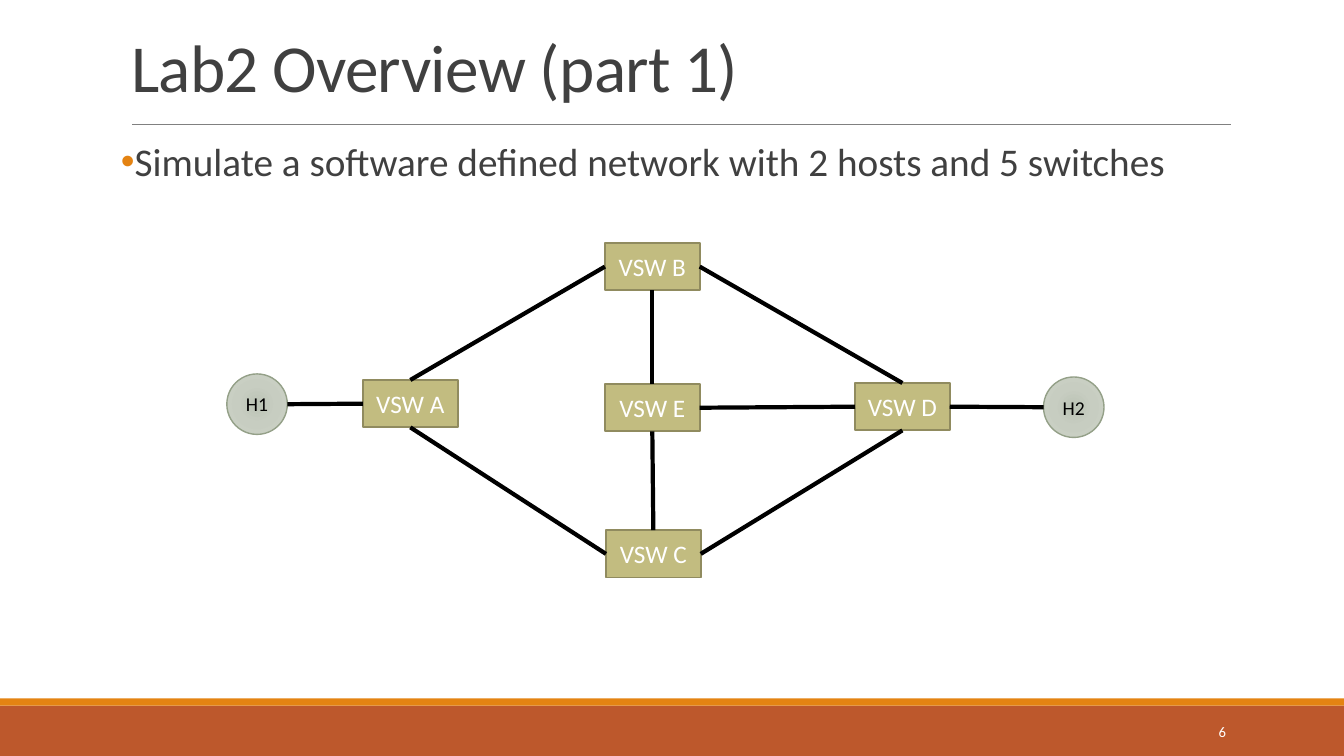
import pptx
import pptx.util
import pptx.dml.color
import pptx.enum.shapes
import pptx.enum.text
import pptx.oxml
import pptx.oxml.ns

Inches, Pt = pptx.util.Inches, pptx.util.Pt
MSO_SHAPE = pptx.enum.shapes.MSO_SHAPE
PP_ALIGN = pptx.enum.text.PP_ALIGN
ANCHOR = pptx.enum.text.MSO_ANCHOR
NS = pptx.oxml.ns.nsdecls("a")
TOP, LEFT, BOTTOM, RIGHT = range(4)


def rgb(hex_color):
    return pptx.dml.color.RGBColor.from_string(hex_color)


def add_text(shape, text, size, color, align, anchor):
    tf = shape.text_frame
    tf.auto_size = pptx.enum.text.MSO_AUTO_SIZE.NONE
    tf.word_wrap = True
    tf.vertical_anchor = anchor
    p = tf.paragraphs[0]
    p.alignment = align
    r = p.add_run()
    r.text = text
    r.font.name = "Calibri"
    r.font.size = Pt(size)
    r.font.color.rgb = rgb(color)
    return p


prs = pptx.Presentation()
prs.slide_width, prs.slide_height = Inches(13.33), Inches(7.5)
s = prs.slides.add_slide(prs.slide_layouts[1])

# Footer bands
for top, height, color in [(7, 0.5, "BD582C"), (6.93, 0.07, "E48312")]:
    sp = s.shapes.add_shape(MSO_SHAPE.RECTANGLE, 0, Inches(top), prs.slide_width, Inches(height))
    sp.shadow.inherit = False
    sp.fill.solid()
    sp.fill.fore_color.rgb = rgb(color)
    sp.line.fill.background()

# Title
title = s.shapes.title
title.left, title.top, title.width, title.height = map(Inches, (1.2, 0.31, 11, 0.79))
p = add_text(title, "Lab2 Overview (part 1)", 48, "404040", PP_ALIGN.LEFT, ANCHOR.BOTTOM)
p.line_spacing = 0.85
p.runs[0].font._element.set("spc", "-50")

# Bulleted body
body = s.placeholders[1]
body.left, body.top, body.width, body.height = map(Inches, (1.2, 1.36, 11, 5.06))
body.text_frame.margin_left = body.text_frame.margin_right = 0
p = add_text(body, "Simulate a software defined network with 2 hosts and 5 switches",
             28, "404040", PP_ALIGN.LEFT, ANCHOR.TOP)
p.line_spacing, p.space_before, p.space_after = 0.9, Pt(12), Pt(2)
pPr = p._p.get_or_add_pPr()
pPr.set("marL", str(Inches(0.1)))
pPr.set("indent", str(-Inches(0.1)))
for xml in (f'<a:buClr {NS}><a:srgbClr val="E48312"/></a:buClr>',
            f'<a:buChar {NS} char="•"/>'):
    pPr.append(pptx.oxml.parse_xml(xml))

# Slide number
box = s.shapes.add_textbox(Inches(10.83), Inches(7.06), Inches(1.43), Inches(0.4))
add_text(box, "6", 10.5, "FFFFFF", PP_ALIGN.RIGHT, ANCHOR.MIDDLE)

# Switches
nodes = {}
for name, left, top in [("A", 3.6, 3.77), ("B", 6, 2.41), ("C", 6.01, 5.26),
                        ("D", 8.48, 3.8), ("E", 6, 3.81)]:
    sp = s.shapes.add_shape(MSO_SHAPE.RECTANGLE, Inches(left), Inches(top), Inches(0.94), Inches(0.47))
    sp.shadow.inherit = False
    sp.fill.solid()
    sp.fill.fore_color.rgb = rgb("C2BC80")
    sp.line.color.rgb = rgb("908B5F")
    sp.line.width = Pt(1.25)
    add_text(sp, f"VSW {name}", 18, "FFFFFF", PP_ALIGN.CENTER, ANCHOR.MIDDLE)
    sp.text_frame.word_wrap = False
    nodes[name] = sp

# Hosts with a radial gradient
stops = "".join(f'<a:gs pos="{pos}000"><a:srgbClr val="{color}"/></a:gs>'
                for pos, color in [(0, "BBC3B5"), (45, "C7CDC1"), (100, "CDD4C7")])
gradient = (f'<a:gradFill {NS}><a:gsLst>{stops}</a:gsLst><a:path path="circle">'
            '<a:fillToRect l="100000" t="100000" r="100000" b="100000"/></a:path></a:gradFill>')
for name, left, top in [("H1", 2.25, 3.71), ("H2", 10.35, 3.74)]:
    sp = s.shapes.add_shape(MSO_SHAPE.OVAL, Inches(left), Inches(top), Inches(0.6), Inches(0.6))
    sp.shadow.inherit = False
    sp._element.spPr.find(pptx.oxml.ns.qn("a:prstGeom")).addnext(pptx.oxml.parse_xml(gradient))
    sp.line.color.rgb = rgb("94A088")
    sp.line.width = Pt(1)
    add_text(sp, name, 14, "000000", PP_ALIGN.CENTER, ANCHOR.MIDDLE)
    sp.text_frame.word_wrap = False
    nodes[name] = sp

# Links: from a switch side to another switch side or a host edge
links = [("A", LEFT, "H1", RIGHT), ("A", TOP, "B", LEFT), ("A", BOTTOM, "C", LEFT),
         ("D", RIGHT, "H2", LEFT), ("D", TOP, "B", RIGHT), ("D", BOTTOM, "C", RIGHT),
         ("E", TOP, "B", BOTTOM), ("E", BOTTOM, "C", TOP), ("E", RIGHT, "D", LEFT)]
for start, start_side, end, end_side in links:
    target = nodes[end]
    edge_x = target.left + (target.width if end_side == RIGHT else 0)
    c = s.shapes.add_connector(pptx.enum.shapes.MSO_CONNECTOR.STRAIGHT, 0, 0,
                               edge_x, target.top + target.height // 2)
    c.begin_connect(nodes[start], start_side)
    if not end.startswith("H"):
        c.end_connect(target, end_side)
    c.line.color.rgb = rgb("000000")
    c.line.width = Pt(3)
    c._element.spPr.append(pptx.oxml.parse_xml(f"<a:effectLst {NS}/>"))

# Rule under the title
rule = s.shapes.add_connector(pptx.enum.shapes.MSO_CONNECTOR.STRAIGHT,
                              Inches(1.31), Inches(1.23), Inches(12.21), Inches(1.23))
rule.line.color.rgb = rgb("808080")
rule.line.width = Pt(0.5)
rule._element.spPr.append(pptx.oxml.parse_xml(f"<a:effectLst {NS}/>"))

prs.save("out.pptx")
